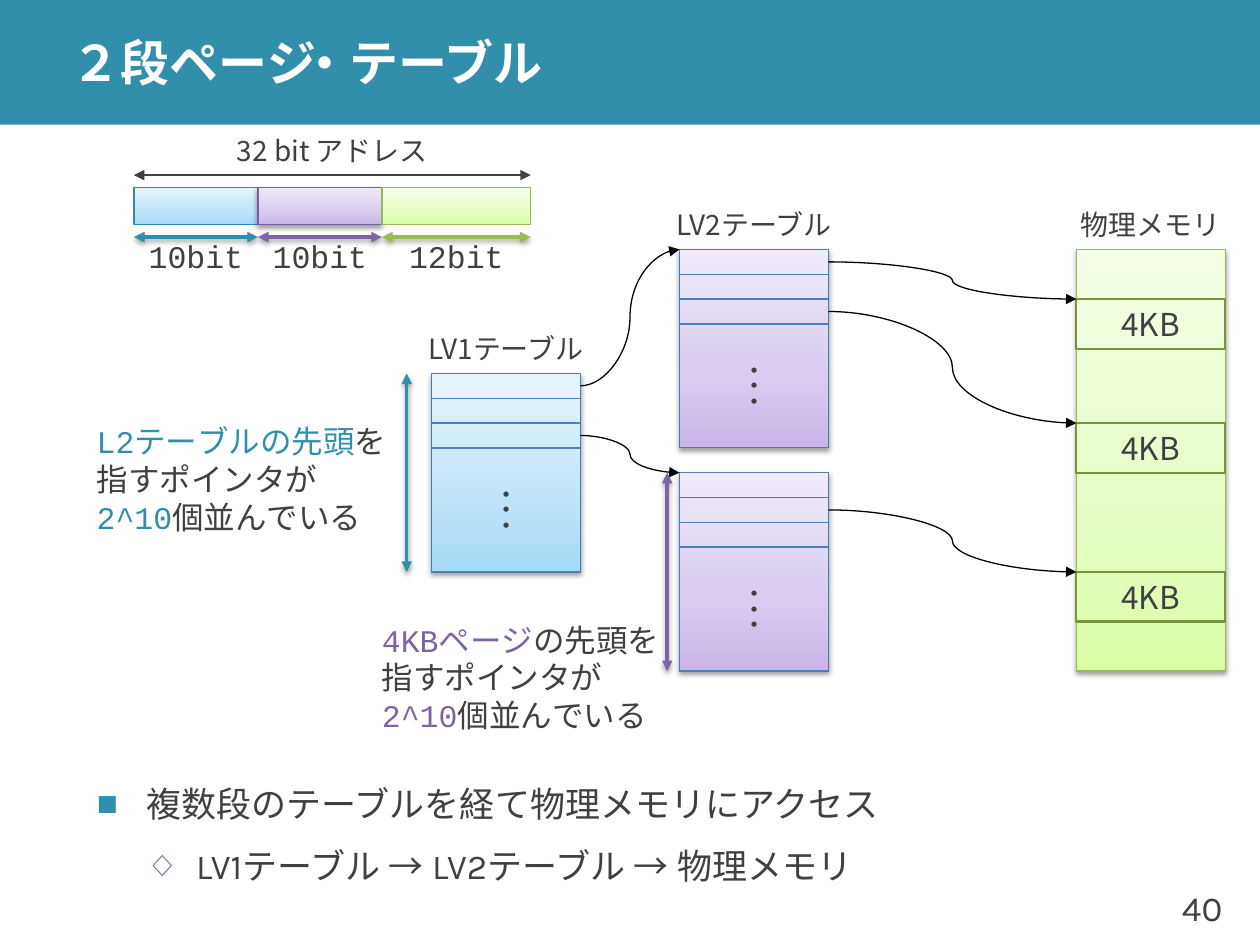
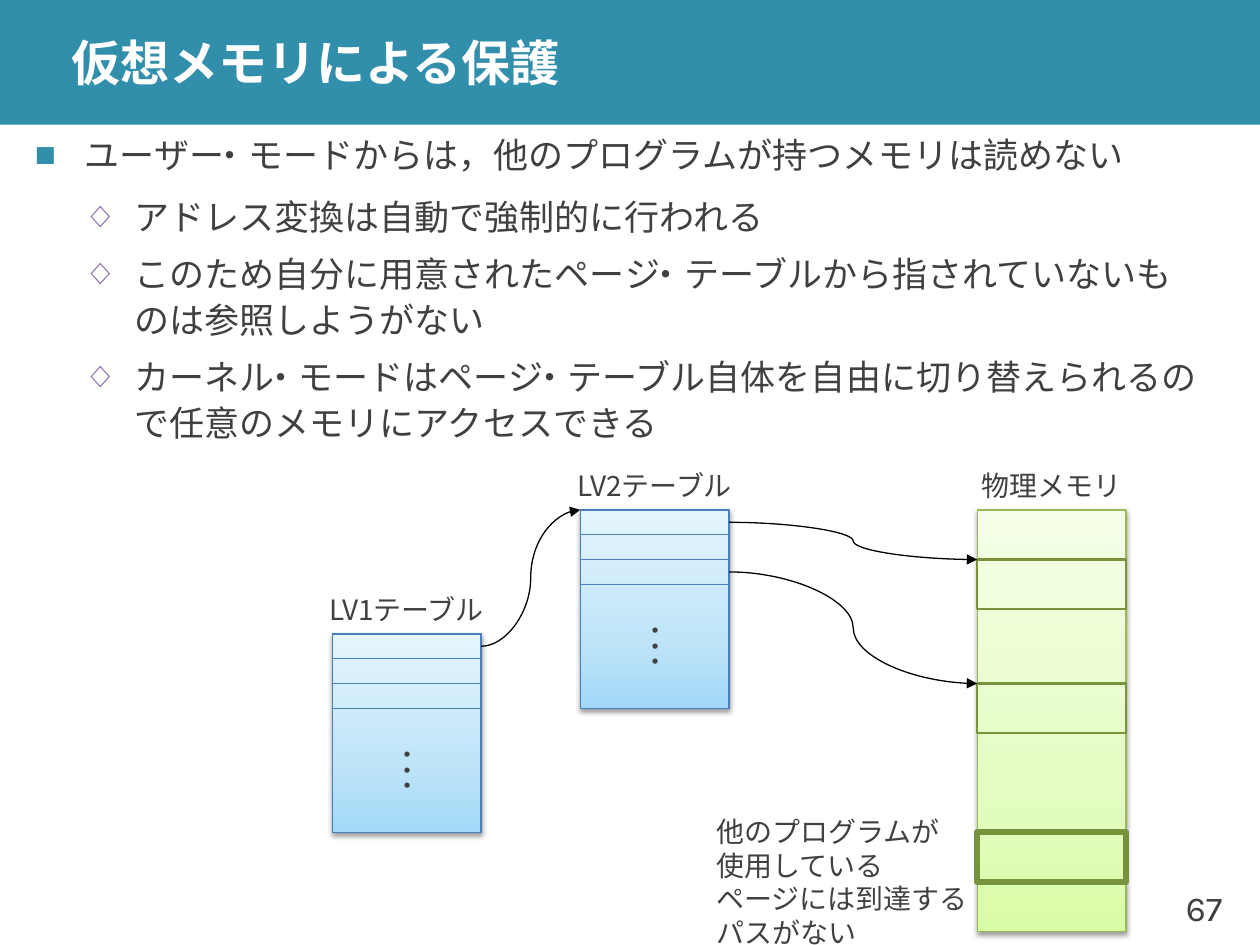
import copy

import lxml.etree
import pptx
import pptx.dml.color
import pptx.enum.shapes
import pptx.enum.text
import pptx.oxml.ns
import pptx.util

Cm, Inches, Pt = pptx.util.Cm, pptx.util.Inches, pptx.util.Pt
ALIGN = pptx.enum.text.PP_ALIGN
LINK = pptx.enum.shapes.MSO_CONNECTOR

COLORS = {
    "teal": "328FAC", "purple": "8064A2", "green": "9BBB59",
    "text": "404040", "white": "FFFFFF", "black": "000000",
    "entry": "4B7EBC", "page": "77933C",
}
TINTS = {
    "blue": {"stops": ("A2D9F7", "BFE4F8", "E6F5FD"), "edge": "2E8DAB"},
    "violet": {"stops": ("C9B5E8", "D8CBEE", "F0EAF9"), "edge": "7D60A0"},
    "lime": {"stops": ("DAFDA7", "E4FCC2", "F5FFE7"), "edge": "98B955"},
}
HEADING_FONT, LABEL_FONT, CODE_FONT = "Karla", "Noto Sans CJK JP", "Courier New"
BAND_HEIGHT = Inches(0.99)
TABLE_COLS, TABLE_ROWS, ENTRIES = 6, 8, 3
MEMORY_ROWS, PAGE_ROWS = 17, 2
PAGE_OFFSETS = (2, 7, 13)
BULLETS = (("■", "teal", 100, 0, 6), ("◇", "purple", 90, 3, 3))
MIDDLE_DOT, DOT_TIGHTENING = "・", -32


def rgb(value):
    return pptx.dml.color.RGBColor.from_string(value)


def grid_x(col):
    return Cm(0.2 + 0.5 * col)


def grid_y(row):
    return Cm(0.03 + 0.5 * row)


def cell(col, row, cols, rows):
    return grid_x(col), grid_y(row), Cm(0.5 * cols), Cm(0.5 * rows)


def add_xml(parent, tag, **attributes):
    element = lxml.etree.SubElement(parent, pptx.oxml.ns.qn(tag))
    for key, value in attributes.items():
        element.set(key, str(value))
    return element


def add_run(paragraph, words, font, size, color="text", bold=False):
    run = paragraph.add_run()
    run.text = words
    run.font.name = font
    run.font.size = Pt(size)
    run.font.bold = bold
    run.font.color.rgb = rgb(COLORS[color])
    add_xml(run._r.get_or_add_rPr(), "a:ea", typeface=font)
    return run


def add_tight_dots(paragraph, words, size, color="text", bold=False):
    *before_dots, last = words.split(MIDDLE_DOT)
    for piece in before_dots:
        add_run(paragraph, piece[:-1], HEADING_FONT, size, color, bold)
        dotted = add_run(paragraph, piece[-1] + MIDDLE_DOT, HEADING_FONT, size, color, bold)
        dotted._r.get_or_add_rPr().set("spc", str(DOT_TIGHTENING * size))
    add_run(paragraph, last, HEADING_FONT, size, color, bold)


def write_lines(frame, lines, font, size, align=ALIGN.CENTER):
    frame.word_wrap = False
    frame.vertical_anchor = pptx.enum.text.MSO_ANCHOR.MIDDLE
    for index, line in enumerate(lines):
        paragraph = frame.add_paragraph() if index else frame.paragraphs[0]
        paragraph.alignment = align
        for words, color in line:
            add_run(paragraph, words, font, size, color)


def note(slide, area, lines, font, size, align=ALIGN.LEFT):
    remark = rectangle(slide, area)
    write_lines(remark.text_frame, lines, font, size, align)


def label(slide, area, words, font=LABEL_FONT, size=16, align=ALIGN.CENTER):
    note(slide, area, [[(words, "text")]], font, size, align)


def add_shadow(effects):
    shadow = add_xml(effects, "a:outerShdw", blurRad=Pt(3.1), dist=Pt(1.6),
                     dir=5400000, rotWithShape=0)
    add_xml(add_xml(shadow, "a:srgbClr", val=COLORS["black"]), "a:alpha", val=38000)


def rectangle(slide, area, edge=None, width=0.75):
    block = slide.shapes.add_shape(pptx.enum.shapes.MSO_SHAPE.RECTANGLE, *area)
    block.shadow.inherit = False
    block.fill.background()
    if edge:
        block.line.color.rgb = rgb(edge)
        block.line.width = Pt(width)
    else:
        block.line.fill.background()
    return block


def tinted(slide, area, tint, shadow=True):
    block = rectangle(slide, area, TINTS[tint]["edge"])
    block.fill.gradient()
    block.fill.gradient_angle = 90
    properties = block._element.spPr
    stops = properties.find(".//" + pptx.oxml.ns.qn("a:gsLst"))
    stops.insert(1, copy.deepcopy(stops[0]))
    for stop, position, color in zip(block.fill.gradient_stops, (0, 0.35, 1),
                                     TINTS[tint]["stops"]):
        stop.position = position
        stop.color.rgb = rgb(color)
    if shadow:
        add_shadow(properties.find(pptx.oxml.ns.qn("a:effectLst")))


def arrow(slide, start, end, kind=LINK.STRAIGHT, color="black", width=0.75,
          both=False, shadow=False):
    (x1, y1), (x2, y2) = start, end
    link = slide.shapes.add_connector(kind, grid_x(x1), grid_y(y1),
                                      grid_x(x2), grid_y(y2))
    link.line.color.rgb = rgb(COLORS[color])
    link.line.width = Pt(width)
    outline = link.line._get_or_add_ln()
    if both:
        add_xml(outline, "a:headEnd", type="triangle")
    add_xml(outline, "a:tailEnd", type="triangle")
    effects = add_xml(link._element.spPr, "a:effectLst")
    if shadow:
        add_shadow(effects)


def span(slide, start, end, color):
    arrow(slide, start, end, color=color, width=2, both=True, shadow=True)


def pointer(slide, table, entry, target):
    col, row = table
    arrow(slide, (col + TABLE_COLS, row + entry + 0.5), target, LINK.CURVE)


def heading_above(slide, corner, words):
    col, row = corner
    label(slide, cell(col + 1, row - 2, 4, 2), words)


def page_table(slide, corner, tint, heading=None):
    col, row = corner
    tinted(slide, cell(col, row, TABLE_COLS, TABLE_ROWS), tint)
    for entry in range(ENTRIES):
        rectangle(slide, cell(col, row + entry, TABLE_COLS, 1), COLORS["entry"])
    rest = rectangle(slide, cell(col, row + ENTRIES, TABLE_COLS, TABLE_ROWS - ENTRIES),
                     COLORS["entry"])
    write_lines(rest.text_frame, [[("･･･", "text")]], LABEL_FONT, 18)
    rest.text_frame._txBody.bodyPr.set("vert", "vert270")
    if heading:
        heading_above(slide, corner, heading)


def physical_memory(slide, corner, page_label=None, widths=(1.25, 1.25, 1.25)):
    col, row = corner
    tinted(slide, cell(col, row, TABLE_COLS, MEMORY_ROWS), "lime")
    for offset, width in zip(PAGE_OFFSETS, widths):
        page = rectangle(slide, cell(col, row + offset, TABLE_COLS, PAGE_ROWS),
                         COLORS["page"], width)
        if page_label:
            write_lines(page.text_frame, [[(page_label, "text")]], LABEL_FONT, 18)
    heading_above(slide, corner, "物理メモリ")


def address_bar(slide, col, row, fields):
    start = col
    for bits, cols, tint, color, shadow in fields:
        tinted(slide, cell(col, row, cols, 1.5), tint, shadow)
        span(slide, (col, row + 2), (col + cols, row + 2), color)
        label(slide, cell(col + cols / 2 - 1.5, row + 2, 3, 1.5), bits, CODE_FONT, 18)
        col += cols
    arrow(slide, (start, row - 0.5), (col, row - 0.5), color="text", both=True)
    label(slide, cell((start + col) / 2 - 2, row - 2.5, 4, 2), "32 bit アドレス")


def place(holder, area):
    holder.left, holder.top, holder.width, holder.height = area
    frame = holder.text_frame
    frame.word_wrap = True
    frame.auto_size = pptx.enum.text.MSO_AUTO_SIZE.NONE
    frame.vertical_anchor = pptx.enum.text.MSO_ANCHOR.MIDDLE
    return frame


def bullet_list(slide, area, items):
    frame = place(slide.placeholders[1], area)
    for index, (level, words) in enumerate(items):
        paragraph = frame.add_paragraph() if index else frame.paragraphs[0]
        mark, color, percent, before, after = BULLETS[level]
        paragraph.level = level
        paragraph.alignment = ALIGN.LEFT
        paragraph.line_spacing = 1.1
        paragraph.space_before, paragraph.space_after = Pt(before), Pt(after)
        properties = paragraph._p.get_or_add_pPr()
        properties.set("marL", str(Cm(level + 1)))
        properties.set("indent", str(-Cm(1)))
        add_xml(add_xml(properties, "a:buClr"), "a:srgbClr", val=COLORS[color])
        add_xml(properties, "a:buSzPct", val=percent * 1000)
        add_xml(properties, "a:buChar", char=mark)
        add_tight_dots(paragraph, words, 20)


def new_slide(deck, title, number):
    slide = deck.slides.add_slide(deck.slide_layouts[1])
    band = rectangle(slide, (0, 0, deck.slide_width, BAND_HEIGHT))
    band.fill.solid()
    band.fill.fore_color.rgb = rgb(COLORS["teal"])
    slide.shapes._spTree.insert(2, band._element)
    left = Inches(0.47)
    frame = place(slide.shapes.title, (left, 0, deck.slide_width - left, BAND_HEIGHT))
    frame.margin_left = frame.margin_right = Inches(0.1)
    frame.margin_top = frame.margin_bottom = 0
    frame.paragraphs[0].alignment = ALIGN.LEFT
    add_tight_dots(frame.paragraphs[0], title, 28, "white", True)
    label(slide, (Inches(9.13), Inches(6.9), Inches(0.67), Inches(0.6)),
          number, HEADING_FONT, 20, ALIGN.RIGHT)
    return slide


def pointer_note(slide, area, target, particle, color):
    note(slide, area, [
        [(target, color), (particle, "text")],
        [("指すポインタが", "text")],
        [("2^10", color), ("個並んでいる", "text")],
    ], CODE_FONT, 18)


def two_level_slide(deck):
    slide = new_slide(deck, "２段ページ・テーブル", "40")
    bullet_list(slide, cell(3, 29.5, 46, 8), [
        (0, "複数段のテーブルを経て物理メモリにアクセス"),
        (1, "LV1テーブル → LV2テーブル → 物理メモリ"),
    ])
    address_bar(slide, 5, 7.5, [
        ("10bit", 5, "blue", "teal", False),
        ("10bit", 5, "violet", "purple", True),
        ("12bit", 6, "lime", "green", False),
    ])
    first, upper, lower, memory = (17, 15), (27, 10), (27, 19), (43, 10)
    page_table(slide, first, "blue", "LV1テーブル")
    page_table(slide, upper, "violet", "LV2テーブル")
    page_table(slide, lower, "violet")
    physical_memory(slide, memory, "4KB")
    pages = [(memory[0], memory[1] + offset) for offset in PAGE_OFFSETS]
    for table, entry, target in [(first, 0, upper), (first, 2, lower),
                                 (upper, 0, pages[0]), (upper, 2, pages[1]),
                                 (lower, 1, pages[2])]:
        pointer(slide, table, entry, target)
    span(slide, (16, 23), (16, 15), "teal")
    span(slide, (26.5, 27), (26.5, 19), "purple")
    pointer_note(slide, cell(3, 18.5, 3, 1.5), "L2テーブルの先頭", "を", "teal")
    pointer_note(slide, cell(14.5, 26.5, 3, 1.5), "4KBページ", "の先頭を", "purple")


def protection_slide(deck):
    slide = new_slide(deck, "仮想メモリによる保護", "67")
    bullet_list(slide, cell(0.5, 6, 48, 11), [
        (0, "ユーザー・モードからは，他のプログラムが持つメモリは読めない"),
        (1, "アドレス変換は自動で強制的に行われる"),
        (1, "このため自分に用意されたページ・テーブルから指されていないものは参照しようがない"),
        (1, "カーネル・モードはページ・テーブル自体を自由に切り替えられるので任意のメモリにアクセスできる"),
    ])
    first, second, memory = (13, 25.5), (23, 20.5), (39, 20.5)
    page_table(slide, first, "blue", "LV1テーブル")
    page_table(slide, second, "blue", "LV2テーブル")
    physical_memory(slide, memory, widths=(1.25, 1.25, 3.25))
    pointer(slide, first, 0, second)
    for entry, offset in zip((0, 2), PAGE_OFFSETS):
        pointer(slide, second, entry, (memory[0], memory[1] + offset))
    reasons = ("他のプログラムが", "使用している", "ページには到達する", "パスがない")
    note(slide, cell(28, 34.5, 4, 2), [[(line, "text")] for line in reasons],
         LABEL_FONT, 16)


def main():
    deck = pptx.Presentation()
    deck.slide_width, deck.slide_height = Inches(10), Inches(7.5)
    two_level_slide(deck)
    protection_slide(deck)
    deck.save("out.pptx")


if __name__ == "__main__":
    main()
